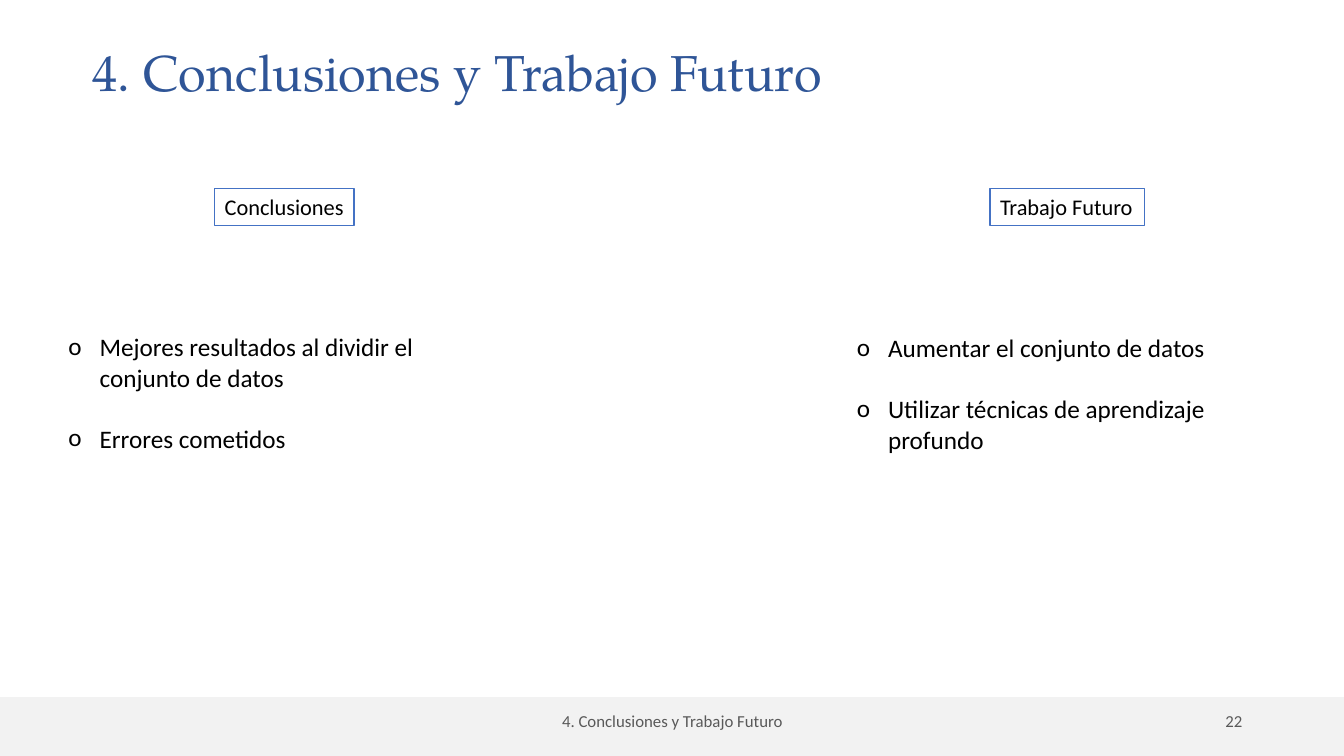
from pptx import Presentation
from pptx.dml.color import RGBColor
from pptx.enum.shapes import MSO_SHAPE as Shape
from pptx.enum.text import MSO_ANCHOR as Anchor, PP_ALIGN as Align
from pptx.oxml.ns import qn
from pptx.util import Inches, Pt
from lxml.etree import SubElement

HEADING = "4. Conclusiones y Trabajo Futuro"
TITLE_FONT = {"name": "TeX Gyre Pagella", "size": Pt(36)}
FOOTER_FONT = {"name": "Calibri", "size": Pt(12)}
LABEL_FONT = {"name": "Calibri", "size": Pt(16)}
POINT_FONT = {"name": "Calibri", "size": Pt(18)}


def color(hex_code):
    """Turn a hex string into a colour."""
    return RGBColor.from_string(hex_code)


def apply_format(target, values):
    """Set each named attribute on the target."""
    for key, value in values.items():
        setattr(target, key, value)


def write(paragraph, text, font, hex_code, **layout):
    """Fill a paragraph with styled text."""
    paragraph.text = text
    apply_format(paragraph, layout)
    apply_format(paragraph.font, font)
    paragraph.font.color.rgb = color(hex_code)


def add_text(slide, place, text, font, hex_code, anchor, **layout):
    """Add a single-paragraph text box."""
    frame = slide.shapes.add_textbox(*map(Inches, place)).text_frame
    apply_format(frame, {"word_wrap": True, "vertical_anchor": anchor})
    write(frame.paragraphs[0], text, font, hex_code, **layout)


def add_panel(slide, place, fill, outline):
    """Add a filled rectangle with a thin outline."""
    panel = slide.shapes.add_shape(Shape.RECTANGLE, *map(Inches, place))
    panel.shadow.inherit = False
    panel.fill.solid()
    panel.fill.fore_color.rgb = color(fill)
    panel.line.color.rgb = color(outline)
    panel.line.width = Pt(1)
    return panel


def add_label(slide, place, text):
    """Add a boxed column heading."""
    frame = add_panel(slide, place, "FFFFFF", "4472C4").text_frame
    apply_format(frame, {"word_wrap": False, "vertical_anchor": Anchor.TOP})
    write(frame.paragraphs[0], text, LABEL_FONT, "000000", alignment=Align.LEFT)


def add_points(slide, place, points):
    """Add a bulleted list with a line of space between points."""
    frame = slide.shapes.add_textbox(*map(Inches, place)).text_frame
    frame.word_wrap = True
    for index, point in enumerate(points):
        paragraph = frame.add_paragraph() if index else frame.paragraphs[0]
        properties = paragraph._p.get_or_add_pPr()
        properties.set("marL", str(Inches(0.31)))
        properties.set("indent", str(Inches(-0.31)))
        SubElement(properties, qn("a:buFont")).set("typeface", "Calibri")
        SubElement(properties, qn("a:buChar")).set("char", "o")
        write(paragraph, point, POINT_FONT, "000000")
        if index:
            paragraph.space_before = Pt(22)


def main():
    """Build and save the slide."""
    deck = Presentation()
    deck.slide_width, deck.slide_height = Inches(13.33), Inches(7.5)
    slide = deck.slides.add_slide(deck.slide_layouts[6])

    add_text(slide, (0.82, 0.37, 9.32, 0.7), HEADING, TITLE_FONT, "2F5597",
             Anchor.BOTTOM, line_spacing=0.9)
    add_panel(slide, (0, 6.92, 13.33, 0.58), "F2F2F2", "F2F2F2")
    for left, width, text, side in ((4.42, 4.5, HEADING, Align.CENTER),
                                    (9.42, 3, "22", Align.RIGHT)):
        add_text(slide, (left, 6.95, width, 0.4), text, FOOTER_FONT, "595959",
                 Anchor.MIDDLE, alignment=side)

    columns = (
        ("Conclusiones", 2.13, 1.38, 0.58, 3.24,
         ("Mejores resultados al dividir el conjunto de datos",
          "Errores cometidos")),
        ("Trabajo Futuro", 9.82, 1.53, 8.4, 3.25,
         ("Aumentar el conjunto de datos",
          "Utilizar técnicas de aprendizaje profundo")),
    )
    for label, label_left, label_width, left, top, points in columns:
        add_label(slide, (label_left, 1.87, label_width, 0.37), label)
        add_points(slide, (left, top, 4.36, 1.31), points)

    deck.save("out.pptx")


if __name__ == "__main__":
    main()
